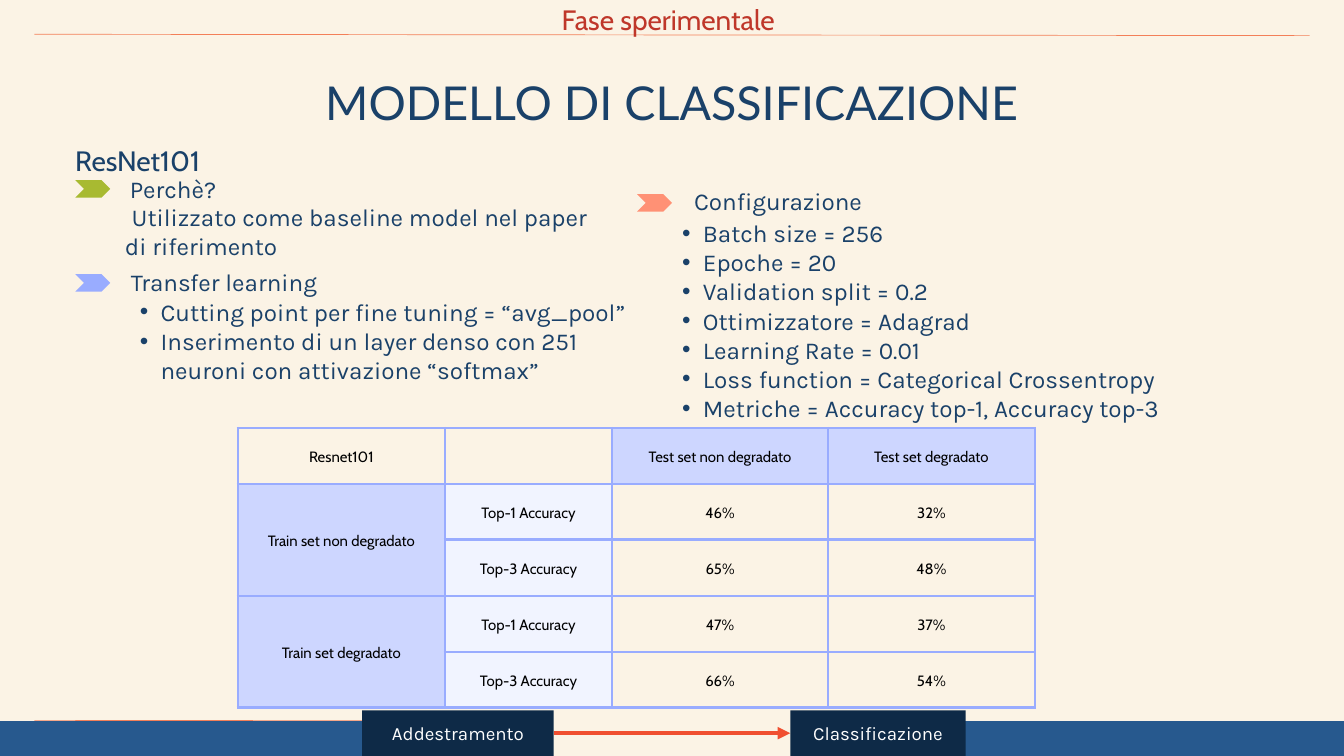
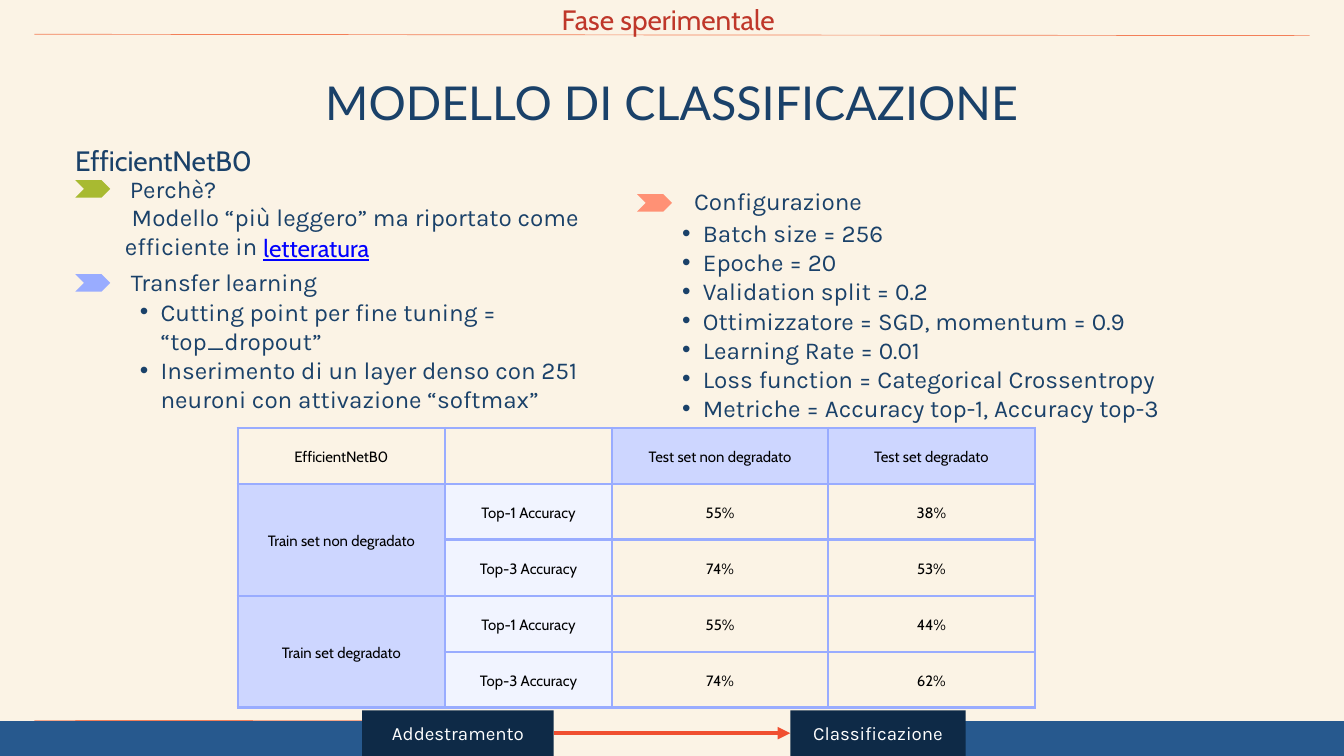
"""Builds two slides on the classification models and their test results."""
from lxml.etree import SubElement
from pptx import Presentation
from pptx.dml.color import RGBColor
from pptx.enum.shapes import MSO_CONNECTOR, MSO_SHAPE
from pptx.enum.text import MSO_ANCHOR, PP_ALIGN
from pptx.oxml.ns import qn
from pptx.util import Pt

PX = 9144
WIDTH, HEIGHT = 2000, 1125
COLORS = {
    "cream": "FBF3E5", "navy": "1A4169", "dark": "0E2A47", "blue": "27598E",
    "orange": "F37F58", "red": "F04F30", "brick": "BF372A", "green": "A8BA31",
    "coral": "FF9175", "periwinkle": "99ACFF", "lilac": "CDD6FF",
    "pale": "F1F4FF", "link": "0000FF", "black": "000000", "white": "FFFFFF",
}
COLUMNS = (308, 249, 321, 308)
ROWS = (83, 83, 84, 83, 83)
TRAIN_SETS = ("Train set non degradato", "Train set degradato")
TEST_SETS = ("Test set non degradato", "Test set degradato")
METRICS = ("Top-1 Accuracy", "Top-3 Accuracy")

MODELS = (
    {
        "name": "ResNet101",
        "table_name": "Resnet101",
        "reason": "Utilizzato come baseline model nel paper di riferimento",
        "source": None,
        "cut": "avg_pool",
        "optimizer": "Adagrad",
        "scores": (("46%", "32%"), ("65%", "48%"), ("47%", "37%"), ("66%", "54%")),
    },
    {
        "name": "EfficientNetB0",
        "table_name": "EfficientNetB0",
        "reason": "Modello “più leggero” ma riportato come efficiente in",
        "source": "letteratura",
        "cut": "top_dropout",
        "optimizer": "SGD, momentum = 0.9",
        "scores": (("55%", "38%"), ("74%", "53%"), ("55%", "44%"), ("74%", "62%")),
    },
)


def color(name):
    return RGBColor.from_string(COLORS[name])


def write(frame, text, size=26, font="Karla", ink="navy", leading=31.2,
          align=PP_ALIGN.LEFT, anchor=MSO_ANCHOR.TOP, inset=0,
          bullet=False, first_indent=0, underline=False):
    frame.word_wrap = True
    frame.vertical_anchor = anchor
    frame.margin_left = frame.margin_right = inset * PX
    frame.margin_top = frame.margin_bottom = inset * PX
    for index, line in enumerate(text.split("\n")):
        para = frame.add_paragraph() if index else frame.paragraphs[0]
        para.alignment = align
        para.line_spacing = Pt(leading)
        properties = para._p.get_or_add_pPr()
        if bullet:
            para.level = 1
            properties.set("marL", str(61 * PX))
            properties.set("indent", str(-31 * PX))
            SubElement(properties, qn("a:buFont"), typeface="Arial")
            SubElement(properties, qn("a:buChar"), char="•")
        elif first_indent:
            properties.set("indent", str(first_indent * PX))
        span = para.add_run()
        span.text = line
        span.font.size = Pt(size)
        span.font.name = font
        span.font.color.rgb = color(ink)
        if underline:
            span.font.underline = True


class Board:
    """Holds the deck style and the current page."""

    def __init__(self):
        self.deck = Presentation()
        self.deck.slide_width = WIDTH * PX
        self.deck.slide_height = HEIGHT * PX
        self.page = None

    def add_page(self, title):
        self.page = self.deck.slides.add_slide(self.deck.slide_layouts[5])
        self.page.background.fill.solid()
        self.page.background.fill.fore_color.rgb = color("cream")
        box = self.page.shapes.title
        box.left, box.top, box.width, box.height = (
            n * PX for n in (287, 110, 1426, 85))
        write(box.text_frame, title, size=50, font="Lato", leading=60,
              align=PP_ALIGN.CENTER)

    def text(self, left, top, width, height, text, **style):
        box = self.page.shapes.add_textbox(
            left * PX, top * PX, width * PX, height * PX)
        write(box.text_frame, text, **style)

    def shape(self, left, top, width, height, fill, kind=MSO_SHAPE.RECTANGLE):
        shape = self.page.shapes.add_shape(
            kind, left * PX, top * PX, width * PX, height * PX)
        shape.shadow.inherit = False
        shape.fill.solid()
        shape.fill.fore_color.rgb = color(fill)
        shape.line.fill.background()
        return shape

    def marker(self, left, top, fill):
        self.shape(left, top, 52, 26, fill, MSO_SHAPE.CHEVRON)

    def step(self, left, width, label):
        shape = self.shape(left, 1057, width, 68, "dark")
        write(shape.text_frame, label, size=20, ink="white", leading=24,
              align=PP_ALIGN.CENTER, anchor=MSO_ANCHOR.MIDDLE, inset=6)

    def line(self, start, end, ink, weight, arrow=False):
        line = self.page.shapes.add_connector(
            MSO_CONNECTOR.STRAIGHT, *(n * PX for n in start + end))
        line.line.color.rgb = color(ink)
        line.line.width = Pt(weight)
        if arrow:
            SubElement(line.line._get_or_add_ln(), qn("a:tailEnd"), type="triangle")
        SubElement(line._element.spPr, qn("a:effectLst"))

    def cell(self, cell, text, fill):
        if text:
            write(cell.text_frame, text, size=16, font="Cabin", ink="black",
                  leading=22.4, align=PP_ALIGN.CENTER)
        cell.vertical_anchor = MSO_ANCHOR.MIDDLE
        cell.margin_left = cell.margin_right = 21 * PX
        cell.margin_top = cell.margin_bottom = 21 * PX
        properties = cell._tc.get_or_add_tcPr()
        for side in ("lnL", "lnR", "lnT", "lnB"):
            border = SubElement(properties, qn(f"a:{side}"), w=str(Pt(3)))
            solid = SubElement(border, qn("a:solidFill"))
            SubElement(solid, qn("a:srgbClr"), val=COLORS["periwinkle"])
        if fill:
            cell.fill.solid()
            cell.fill.fore_color.rgb = color(fill)
        else:
            cell.fill.background()

    def score_table(self, left, top, name, scores):
        table = self.page.shapes.add_table(
            len(ROWS), len(COLUMNS), left * PX, top * PX,
            sum(COLUMNS) * PX, sum(ROWS) * PX).table
        table.first_row = table.horz_banding = False
        for column, width in zip(table.columns, COLUMNS):
            column.width = width * PX
        for row, height in zip(table.rows, ROWS):
            row.height = height * PX
        content = [(name, "", *TEST_SETS)]
        for index, values in enumerate(scores):
            group, metric = divmod(index, 2)
            label = "" if metric else TRAIN_SETS[group]
            content.append((label, METRICS[metric], *values))
        header_fills = ("cream", "cream", "lilac", "lilac")
        body_fills = ("lilac", "pale", None, None)
        for row, texts in enumerate(content):
            fills = body_fills if row else header_fills
            for column, (text, fill) in enumerate(zip(texts, fills)):
                self.cell(table.cell(row, column), text, fill)
        for row in (1, 3):
            table.cell(row, 0).merge(table.cell(row + 1, 0))

    def header(self, text):
        self.line((51, 51), (1949, 53), "orange", 0.75)
        self.text(805, -5, 379, 56, text, size=30, font="Cabin", ink="brick",
                  leading=42, align=PP_ALIGN.CENTER)

    def footer(self):
        self.line((51, 1072), (1949, 1074), "orange", 0.75)
        self.shape(0, 1073, WIDTH, 52, "blue")
        self.shape(563, 1057, 873, 68, "cream")
        self.step(539, 285, "Addestramento")
        self.line((824, 1091), (1176, 1091), "red", 4.5, arrow=True)
        self.step(1176, 261, "Classificazione")


def add_model(board, model):
    board.add_page("MODELLO DI CLASSIFICAZIONE")
    board.header("Fase sperimentale")
    board.text(112, 205, 464, 56, model["name"], size=30, font="Cabin", leading=42)

    board.marker(112, 268, "green")
    board.text(187, 259, 141, 44, "Perchè?", align=PP_ALIGN.CENTER)
    board.text(186, 301, 728, 86, model["reason"], first_indent=10)
    if model["source"]:
        board.text(392, 340, 321, 49, model["source"], font="Cabin", ink="link",
                   leading=36.4, underline=True)

    board.marker(112, 408, "periwinkle")
    board.text(178, 398, 311, 44, "Transfer learning", align=PP_ALIGN.CENTER)
    board.text(178, 442, 781, 172,
               f"Cutting point per fine tuning = “{model['cut']}”\n"
               "Inserimento di un layer denso con 251 neuroni "
               "con attivazione “softmax”", bullet=True)

    board.marker(948, 289, "coral")
    board.text(1022, 277, 272, 44, "Configurazione", align=PP_ALIGN.CENTER)
    settings = (
        "Batch size = 256",
        "Epoche = 20",
        "Validation split = 0.2",
        f"Ottimizzatore = {model['optimizer']}",
        "Learning Rate = 0.01",
        "Loss function = Categorical Crossentropy",
        "Metriche = Accuracy top-1, Accuracy top-3",
    )
    board.text(985, 325, 901, 300, "\n".join(settings), bullet=True)

    board.score_table(354, 637, model["table_name"], model["scores"])
    board.footer()


def main():
    board = Board()
    for model in MODELS:
        add_model(board, model)
    board.deck.save("out.pptx")


if __name__ == "__main__":
    main()
